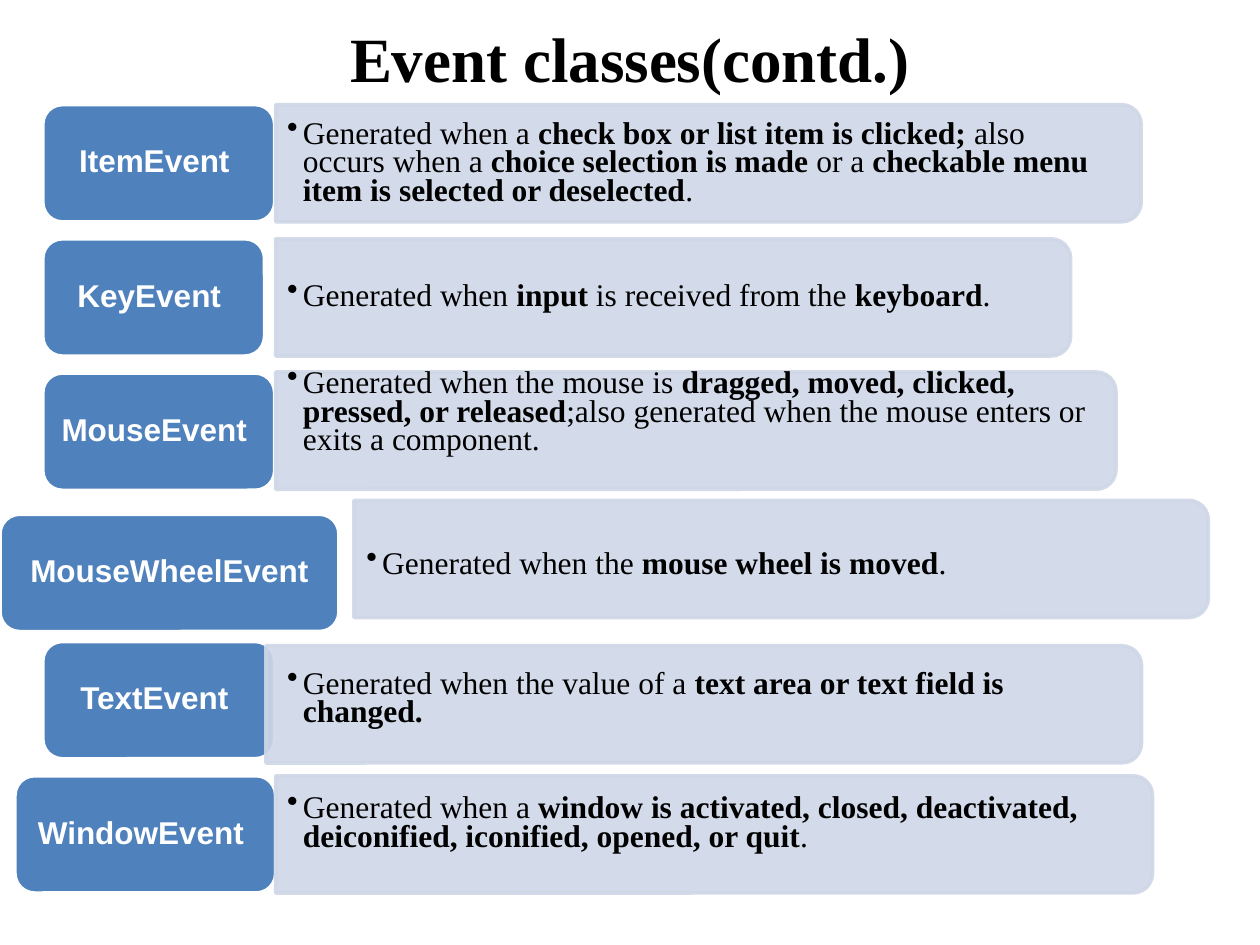
"""Build the slide on event classes."""
import pptx
import pptx.chart.data
import pptx.dml.color
import pptx.enum.shapes
import pptx.enum.text
import pptx.oxml.ns
import pptx.util
from lxml import etree

Pt = pptx.util.Pt
MSO = pptx.enum.shapes.MSO_SHAPE
ALIGN = pptx.enum.text.PP_ALIGN
MIDDLE = pptx.enum.text.MSO_ANCHOR.MIDDLE
qn = pptx.oxml.ns.qn

HUES = {"tag": "4F81BD", "bar": "CFD7E7", "ink": "000000", "white": "FFFFFF"}
SERIF, SANS = "Times New Roman", "Arial"
TITLE = "Event classes(contd.)"
TOP, PITCH, HIGH = 59.8, 76.7, 67

# Each row's "runs" alternate between regular and bold, regular first.
ROWS = [
    {"name": "ItemEvent ", "tag": (24.5, 132.5, 0), "bar": (157.5, 494.6, 0),
     "text": (157, 473, 18.7, 31),
     "runs": ["Generated when a ", "check box or list item is clicked; ",
              "also occurs when a ", "choice selection is made ", "or a ",
              "checkable menu item is selected or deselected", "."]},
    {"name": "KeyEvent ", "tag": (24.5, 126.7, 0), "bar": (157.5, 454.3, 0),
     "text": (157, 480, 3.3, 60.5),
     "runs": ["Generated when ", "input", " is received from the ",
              "keyboard", "."]},
    {"name": "MouseEvent ", "tag": (24.5, 132.5, 0), "bar": (157.5, 480.2, -0.6),
     "text": (157, 473, 3.3, 39.6),
     "runs": ["Generated when the mouse is ",
              "dragged, moved, clicked, pressed, or released",
              ";also generated when the mouse enters or exits a component."]},
    {"name": "MouseWheelEvent", "tag": (0, 193.7, 4), "bar": (202.3, 488.2, -4),
     "text": (202.3, 454.3, 3.3, 60.5),
     "runs": ["Generated when the ", "mouse wheel is moved", "."]},
    {"name": "TextEvent ", "tag": (24.5, 132.5, 0), "bar": (151.9, 500.4, 2.4),
     "text": (157, 488.2, 3.3, 60.5),
     "runs": ["Generated when the value of a ",
              "text area or text field is changed."]},
    {"name": "WindowEvent ", "tag": (8.6, 149, 0), "bar": (157.5, 501.1, 0),
     "text": (157, 512.6, 3.3, 49),
     "runs": ["Generated when a ",
              "window is activated, closed, deactivated, deiconified, "
              "iconified, opened, or quit", "."]},
]


def tint(key):
    return pptx.dml.color.RGBColor.from_string(HUES[key])


def write(para, text, size, face, key, bold):
    run = para.add_run()
    run.text = text
    font = run.font
    font.size, font.name, font.bold = Pt(size), face, bold
    font.color.rgb = tint(key)


def paint(shape, fill, line):
    shape.shadow.inherit = False
    shape.fill.solid()
    shape.fill.fore_color.rgb = tint(fill)
    shape.line.color.rgb = tint(line)
    shape.line.width = Pt(2)


def add_tag(slide, row, top):
    left, wide, shift = row["tag"]
    tag = slide.shapes.add_shape(
        MSO.ROUNDED_RECTANGLE, Pt(left), Pt(top + shift), Pt(wide), Pt(HIGH))
    paint(tag, "tag", "white")
    frame = tag.text_frame
    frame.word_wrap, frame.vertical_anchor = True, MIDDLE
    para = frame.paragraphs[0]
    para.alignment, para.line_spacing = ALIGN.CENTER, 0.85
    write(para, row["name"], 18, SANS, "white", True)


def add_bar(slide, row, top):
    left, wide, shift = row["bar"]
    turn = (wide - HIGH) / 2
    bar = slide.shapes.add_shape(
        MSO.ROUND_2_SAME_RECTANGLE, Pt(left + turn), Pt(top + shift - turn),
        Pt(HIGH), Pt(wide))
    bar.rotation = 90
    paint(bar, "bar", "bar")
    for node in bar._element.spPr.iter(qn("a:srgbClr")):
        etree.SubElement(node, qn("a:alpha"), val="90000")


def add_text(slide, row, top):
    left, wide, shift, high = row["text"]
    box = slide.shapes.add_textbox(Pt(left), Pt(top + shift), Pt(wide), Pt(high))
    frame = box.text_frame
    frame.word_wrap, frame.vertical_anchor = True, MIDDLE
    para = frame.paragraphs[0]
    para.level, para.line_spacing = 1, 0.75
    props = para._p.get_or_add_pPr()
    props.set("marL", str(Pt(9)))
    props.set("indent", str(-Pt(9)))
    hue = etree.SubElement(props, qn("a:buClr"))
    etree.SubElement(hue, qn("a:srgbClr"), val=HUES["ink"])
    etree.SubElement(props, qn("a:buChar"), char="•")
    for spot, text in enumerate(row["runs"]):
        write(para, text, 18, SERIF, "ink", spot % 2 == 1)


def main():
    deck = pptx.Presentation()
    deck.slide_width, deck.slide_height = Pt(720), Pt(540)
    slide = deck.slides.add_slide(deck.slide_layouts[5])
    title = slide.shapes.title
    title.left, title.top = Pt(36), Pt(-12)
    title.width, title.height = Pt(648), Pt(90)
    title.text_frame.vertical_anchor = MIDDLE
    para = title.text_frame.paragraphs[0]
    para.alignment = ALIGN.CENTER
    write(para, TITLE, 36, SERIF, "ink", True)
    for spot, row in enumerate(ROWS):
        top = TOP + spot * PITCH
        add_tag(slide, row, top)
        add_bar(slide, row, top)
        add_text(slide, row, top)
    deck.save("out.pptx")


if __name__ == "__main__":
    main()
